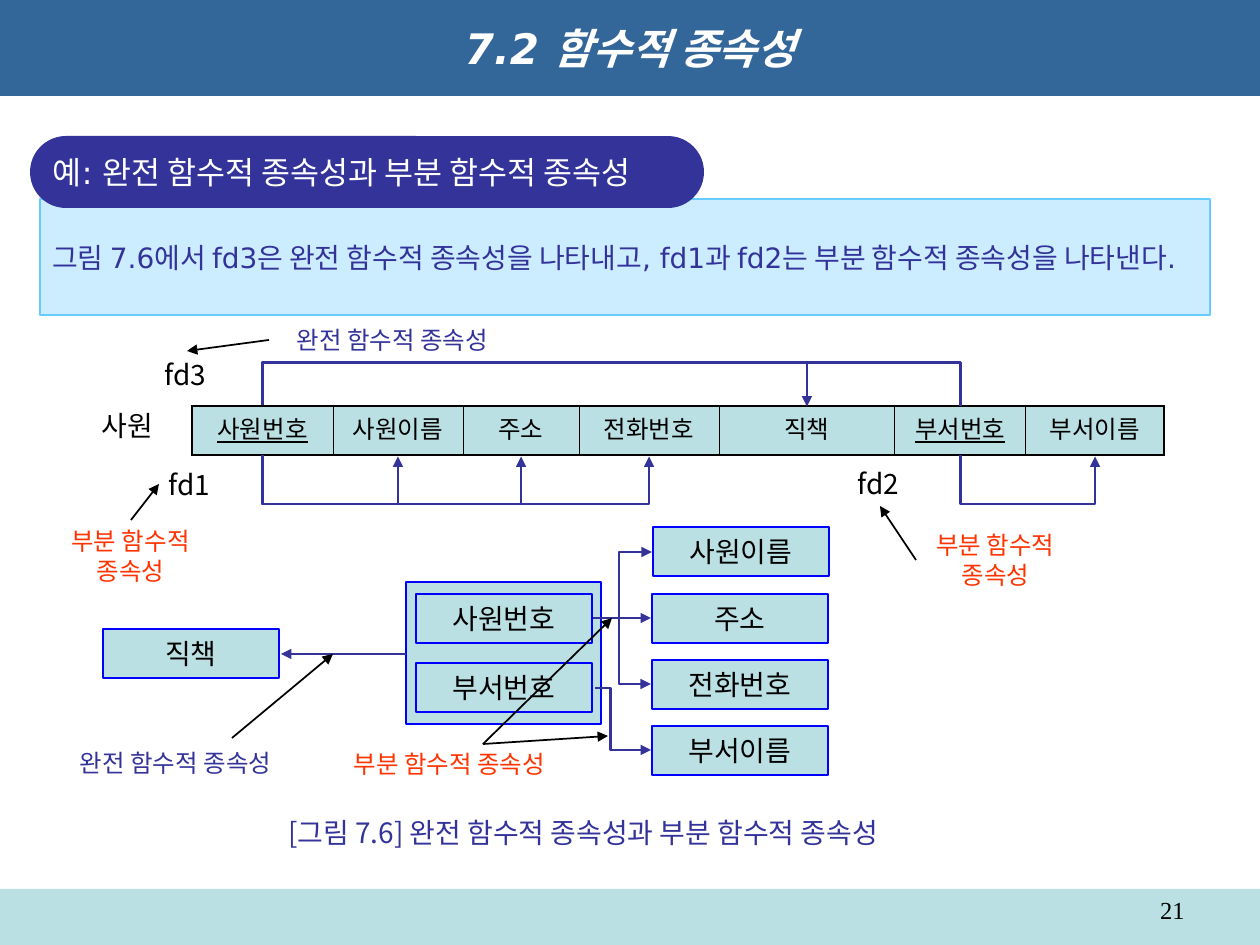
import pptx
import pptx.util
import pptx.dml.color
import pptx.enum.shapes
import pptx.enum.text
import pptx.oxml
import pptx.oxml.ns

PX = 914400 / 126
SHAPES = pptx.enum.shapes.MSO_SHAPE
LINES = pptx.enum.shapes.MSO_CONNECTOR
ALIGN = pptx.enum.text.PP_ALIGN
ANCHOR = pptx.enum.text.MSO_ANCHOR
SANS, CJK_KR, CJK = "DejaVu Sans", "Noto Sans CJK KR", "Noto Sans CJK JP"
COLORS = {
    "banner": "336699", "teal": "BBE0E3", "indigo": "333399", "sky": "CCECFF",
    "sky_edge": "66CCFF", "blue": "0000FF", "red": "FF3300", "black": "000000",
    "white": "FFFFFF",
}

TITLE = "7.2 함수적 종속성"
HEADING = "예: 완전 함수적 종속성과 부분 함수적 종속성"
EXAMPLE = ("그림 7.6에서 fd3은 완전 함수적 종속성을 나타내고, "
           "fd1과 fd2는 부분 함수적 종속성을 나타낸다.")
CAPTION = "[그림 7.6] 완전 함수적 종속성과 부분 함수적 종속성"
PAGE = "21"
FULL, PARTIAL = "완전 함수적 종속성", "부분 함수적 종속성"
PARTIAL_TWO_LINES = "부분 함수적\n종속성"

ATTRIBUTES = [("사원번호", 141), ("사원이름", 130), ("주소", 116), ("전화번호", 140),
              ("직책", 176), ("부서번호", 131), ("부서이름", 138)]
KEYS = {"사원번호", "부서번호"}
TABLE_LEFT, TABLE_TOP, TABLE_HEIGHT = 192, 406, 49

LABELS = [("사원", 89, 402, 79), ("fd1", 156, 461, 68), ("fd3", 152, 351, 68),
          ("fd2", 845, 460, 68)]
NOTES = [(PARTIAL_TWO_LINES, 55, 520, 151, 72, "red"),
         (PARTIAL_TWO_LINES, 920, 524, 151, 72, "red"),
         (FULL, 277, 319, 231, 43, "indigo"),
         (FULL, 60, 742, 231, 43, "indigo"),
         (PARTIAL, 334, 743, 231, 43, "red")]
NODES = [("사원번호", 416, 594), ("부서번호", 416, 663), ("직책", 103, 629),
         ("사원이름", 653, 527), ("주소", 652, 594), ("전화번호", 652, 660),
         ("부서이름", 652, 726)]
NODE_SIZE = (176, 49)

LOOPS_BELOW = [(0, 1), (0, 2), (0, 3), (5, 6)]
LOOPS_ABOVE = [(0, 4, True), (0, 5, False)]
DEPTH_BELOW, DEPTH_ABOVE = 49, -43
DEPENDENCIES = [(593, 618, 651, 618), (406, 654, 281, 654)]
POINTERS = [(269, 340, 187, 351), (131, 520, 159, 484), (916, 560, 880, 506),
            (232, 738, 333, 654), (483, 744, 612, 618), (483, 744, 608, 736)]


def px(*values):
    return [pptx.util.Emu(round(value * PX)) for value in values]


def rgb(name):
    return pptx.dml.color.RGBColor.from_string(COLORS[name])


def write(frame, text, size=16, font=CJK, color="black", align=ALIGN.LEFT,
          anchor=ANCHOR.TOP, wrap=False, bold=False, italic=False, underline=False):
    frame.word_wrap = wrap
    frame.vertical_anchor = anchor
    for number, line in enumerate(text.split("\n")):
        paragraph = frame.add_paragraph() if number else frame.paragraphs[0]
        paragraph.alignment = align
        paragraph.line_spacing = pptx.util.Pt(round(size * 1.2, 1))
        run = paragraph.add_run()
        run.text = line
        run.font.size = pptx.util.Pt(size)
        run.font.name = font
        run.font.color.rgb = rgb(color)
        run.font.bold, run.font.italic, run.font.underline = bold, italic, underline
        east_asian = pptx.oxml.parse_xml(
            f'<a:ea {pptx.oxml.ns.nsdecls("a")} typeface="{CJK_KR}"/>')
        run.font._element.find(pptx.oxml.ns.qn("a:latin")).addnext(east_asian)


def block(slide, box, fill, edge=None, width=1.5, kind=SHAPES.RECTANGLE):
    shape = slide.shapes.add_shape(kind, *px(*box))
    shape.shadow.inherit = False
    shape.fill.solid()
    shape.fill.fore_color.rgb = rgb(fill)
    if edge:
        shape.line.color.rgb = rgb(edge)
        shape.line.width = pptx.util.Pt(width)
    else:
        shape.line.fill.background()
    return shape


def label(slide, box, text, **style):
    write(slide.shapes.add_textbox(*px(*box)).text_frame, text, **style)


def arrow(slide, points, color="indigo", width=1.5, ends=("tailEnd",), bend=None):
    kind = LINES.STRAIGHT if bend is None else LINES.ELBOW
    line = slide.shapes.add_connector(kind, *px(*points))
    line.line.color.rgb = rgb(color)
    line.line.width = pptx.util.Pt(width)
    properties = line._element.spPr
    for end in ends:
        line.line._get_or_add_ln().append(pptx.oxml.parse_xml(
            f'<a:{end} {pptx.oxml.ns.nsdecls("a")} type="triangle"/>'))
    properties.append(pptx.oxml.parse_xml(
        f'<a:effectLst {pptx.oxml.ns.nsdecls("a")}/>'))
    if bend is not None:
        guides = properties.find(".//" + pptx.oxml.ns.qn("a:avLst"))
        guides.append(pptx.oxml.parse_xml(
            f'<a:gd {pptx.oxml.ns.nsdecls("a")} name="adj1" '
            f'fmla="val {round(bend * 100000)}"/>'))
    return line


def loop(slide, start, end, y, depth, ends=("tailEnd",)):
    middle, half = (start + end) / 2, (end - start) / 2
    line = arrow(slide, (middle - 0.5, y - half, middle + 0.5, y + half),
                 ends=ends, bend=depth)
    frame = line._element.spPr.find(pptx.oxml.ns.qn("a:xfrm"))
    frame.set("rot", "16200000")
    frame.set("flipH", "1")


def relation(slide):
    widths = [width for _, width in ATTRIBUTES]
    table = slide.shapes.add_table(
        1, len(widths), *px(TABLE_LEFT, TABLE_TOP, sum(widths), TABLE_HEIGHT)).table
    table.first_row = table.horz_banding = False
    last = len(widths) - 1
    for column, (name, width) in enumerate(ATTRIBUTES):
        table.columns[column].width = px(width)[0]
        cell = table.cell(0, column)
        outer = {"L": column == 0, "R": column == last, "T": True, "B": True}
        for side, thick in outer.items():
            cell._tc.get_or_add_tcPr().append(pptx.oxml.parse_xml(
                f'<a:ln{side} {pptx.oxml.ns.nsdecls("a")} w="{13716 if thick else 5715}">'
                f'<a:solidFill><a:srgbClr val="{COLORS["black"]}"/></a:solidFill>'
                f'</a:ln{side}>'))
        cell.fill.solid()
        cell.fill.fore_color.rgb = rgb("teal")
        write(cell.text_frame, name, size=14, font="Arial", align=ALIGN.CENTER,
              wrap=True, underline=name in KEYS)
        cell.vertical_anchor = ANCHOR.MIDDLE


def main():
    deck = pptx.Presentation()
    deck.slide_width, deck.slide_height = px(1260, 945)
    slide = deck.slides.add_slide(deck.slide_layouts[5])

    title = slide.shapes.title
    title.left, title.top, title.width, title.height = px(0, 0, 1260, 96)
    title.fill.solid()
    title.fill.fore_color.rgb = rgb("banner")
    write(title.text_frame, TITLE, size=24, font=SANS, color="white", bold=True,
          italic=True, align=ALIGN.CENTER, anchor=ANCHOR.MIDDLE, wrap=True)

    block(slide, (0, 889, 1260, 56), "teal")
    label(slide, (903, 889, 294, 37), PAGE, size=14, font="Times New Roman",
          align=ALIGN.RIGHT, wrap=True)
    example = block(slide, (40, 199, 1170, 116), "sky", "sky_edge", 1)
    write(example.text_frame, EXAMPLE, font=SANS, color="indigo",
          anchor=ANCHOR.MIDDLE, wrap=True)
    heading = block(slide, (30, 136, 674, 72), "indigo", kind=SHAPES.ROUNDED_RECTANGLE)
    heading.adjustments[0] = 0.5
    write(heading.text_frame, HEADING, size=18, font=SANS, color="white",
          anchor=ANCHOR.MIDDLE)
    label(slide, (276, 809, 675, 47), CAPTION, font=CJK_KR, color="indigo",
          anchor=ANCHOR.MIDDLE)

    relation(slide)
    block(slide, (406, 582, 195, 142), "teal", "blue")
    for name, left, top in NODES:
        node = block(slide, (left, top, *NODE_SIZE), "teal", "blue")
        write(node.text_frame, name, align=ALIGN.CENTER, anchor=ANCHOR.MIDDLE)

    centers = [TABLE_LEFT + sum(width for _, width in ATTRIBUTES[:i]) + own / 2
               for i, (_, own) in enumerate(ATTRIBUTES)]
    for start, end in LOOPS_BELOW:
        loop(slide, centers[start], centers[end], TABLE_TOP + TABLE_HEIGHT + 1, DEPTH_BELOW)
    for start, end, pointed in LOOPS_ABOVE:
        loop(slide, centers[start], centers[end], TABLE_TOP, DEPTH_ABOVE,
             ("tailEnd",) if pointed else ())
    for points in DEPENDENCIES:
        arrow(slide, points)
    arrow(slide, (595, 688, 651, 750), bend=0.28)
    arrow(slide, (652, 552, 651, 684), ends=("headEnd", "tailEnd"), bend=33)

    for text, left, top, width in LABELS:
        label(slide, (left, top, width, 47), text)
    for text, left, top, width, height, color in NOTES:
        label(slide, (left, top, width, height), text, size=14, color=color,
              align=ALIGN.CENTER)
    for points in POINTERS:
        arrow(slide, points, color="black", width=1)

    deck.save("out.pptx")


if __name__ == "__main__":
    main()
